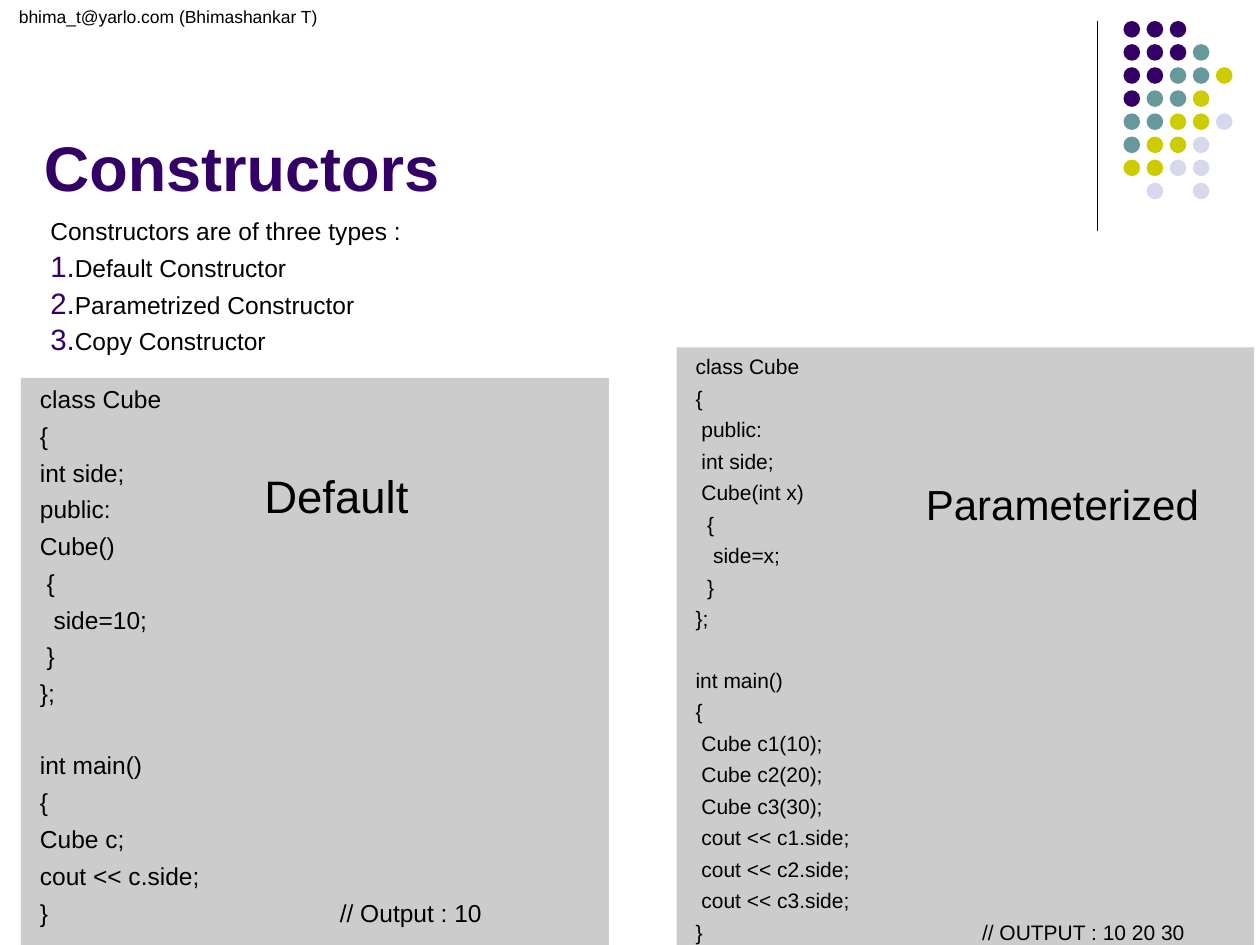
from lxml.etree import SubElement
from pptx import Presentation
from pptx.dml.color import RGBColor
from pptx.enum.shapes import MSO_CONNECTOR, MSO_SHAPE
from pptx.enum.text import MSO_ANCHOR, PP_ALIGN
from pptx.oxml.ns import qn
from pptx.util import Pt

COLORS = {
    "black": "000000", "panel": "CCCCCC", "purple": "330066",
    "teal": "669999", "olive": "CCCC00", "lavender": "D8D8EC",
}
FONT = "Arial"
SPACING = 0.3
LINE_HEIGHT = 1.15
SPACE_WIDTH = 0.278
TEXT_INSET = 10.8

DOT_ROWS = ["PPP", "PPPT", "PPTTO", "PTTO", "TTOOL", "TOOL", "OOLL", " L L"]
DOT_COLORS = {"P": "purple", "T": "teal", "O": "olive", "L": "lavender"}
DOT_LEFT, DOT_TOP, DOT_PITCH, DOT_SIZE = 642, 12, 13.2, 9.5

TYPES_INTRO = "Constructors are of three types : "
TYPES = ["Default Constructor", "Parametrized Constructor", "Copy Constructor"]

LABELS = [
    dict(text="bhima_t@yarlo.com (Bhimashankar T)", box=(0, 0, 192, 30), size=10,
         align=PP_ALIGN.CENTER),
    dict(text="Constructors", box=(18, 18, 606, 102), size=36, color="purple",
         bold=True, anchor=MSO_ANCHOR.BOTTOM),
    dict(text="Default", box=(144, 264, 138, 39), size=26),
    dict(text="Parameterized ", box=(522, 270, 174, 68), size=24),
]

CODE_PANELS = [
    dict(box=(12, 216, 336, 324), size=14, tab=171.4, sections=[
        ["class Cube", "{", "int side;", "public:", "Cube()", " {",
         "  side=10;", " }", "};"],
        ["int main()", "{", "Cube c;", "cout << c.side;", "}\t// Output : 10"],
    ]),
    dict(box=(386.7, 198.5, 330, 354), size=12, tab=163.7, sections=[
        ["class Cube", "{", " public:", " int side;", " Cube(int x)", "  {",
         "   side=x;", "  }", "};"],
        ["int main()", "{", " Cube c1(10);", " Cube c2(20);", " Cube c3(30);",
         " cout << c1.side;", " cout << c2.side;", " cout << c3.side;",
         "}\t// OUTPUT : 10 20 30"],
    ]),
]


def rgb(name):
    return RGBColor.from_string(COLORS[name])


def points(values):
    return [Pt(value) for value in values]


def add_filled(kind, box, color):
    shape = slide.shapes.add_shape(kind, *points(box))
    shape.shadow.inherit = False
    shape.fill.solid()
    shape.fill.fore_color.rgb = rgb(color)
    shape.line.fill.background()
    return shape


def prepare_frame(shape, anchor=MSO_ANCHOR.TOP, inset=7.2):
    frame = shape.text_frame
    frame.word_wrap = True
    frame.vertical_anchor = anchor
    frame.margin_left = Pt(inset)
    return frame


def add_text(frame, text, size, color="black", bold=False, align=PP_ALIGN.LEFT, before=0):
    first = frame.paragraphs[0]
    paragraph = frame.add_paragraph() if first.runs else first
    paragraph.alignment = align
    paragraph.space_before = Pt(before)
    run = paragraph.add_run()
    run.text = text
    run.font.name = FONT
    run.font.size = Pt(size)
    run.font.bold = bold
    run.font.color.rgb = rgb(color)
    return paragraph


def add_number(paragraph):
    properties = paragraph._p.get_or_add_pPr()
    color = SubElement(properties, qn("a:buClr"))
    SubElement(color, qn("a:srgbClr"), val=COLORS["purple"])
    SubElement(properties, qn("a:buSzPct"), val="120000")
    SubElement(properties, qn("a:buFont"), typeface=FONT)
    SubElement(properties, qn("a:buAutoNum"), type="arabicPeriod")


def add_code_panel(box, size, tab, sections):
    frame = prepare_frame(add_filled(MSO_SHAPE.RECTANGLE, box, "panel"), inset=TEXT_INSET)
    for section_index, lines in enumerate(sections):
        for line_index, line in enumerate(lines):
            before = SPACING * size
            if section_index and not line_index:
                before = (2 * SPACING + LINE_HEIGHT) * size
            code = line.lstrip(" ")
            depth = len(line) - len(code)
            paragraph = add_text(frame, code, size, before=before)
            properties = paragraph._p.get_or_add_pPr()
            properties.set("marL", str(Pt(depth * SPACE_WIDTH * size)))
            if "\t" in code:
                tabs = SubElement(properties, qn("a:tabLst"))
                SubElement(tabs, qn("a:tab"), pos=str(Pt(tab)), algn="l")


presentation = Presentation()
presentation.slide_width, presentation.slide_height = Pt(720), Pt(540)
slide = presentation.slides.add_slide(presentation.slide_layouts[6])

divider = slide.shapes.add_connector(MSO_CONNECTOR.STRAIGHT, *points((627, 12, 627, 132)))
divider.line.color.rgb = rgb("black")
divider.line.width = Pt(0.75)
SubElement(divider._element.spPr, qn("a:effectLst"))

for row, dots in enumerate(DOT_ROWS):
    for column, dot in enumerate(dots):
        if dot in DOT_COLORS:
            box = (DOT_LEFT + column * DOT_PITCH, DOT_TOP + row * DOT_PITCH, DOT_SIZE, DOT_SIZE)
            add_filled(MSO_SHAPE.OVAL, box, DOT_COLORS[dot])

types_box = slide.shapes.add_textbox(*points((18, 120, 684, 96)))
types_frame = prepare_frame(types_box, inset=TEXT_INSET)
add_text(types_frame, TYPES_INTRO, 14)
for constructor_type in TYPES:
    add_number(add_text(types_frame, constructor_type, 14, before=SPACING * 14))

for panel in CODE_PANELS:
    add_code_panel(**panel)

for label in LABELS:
    style = dict(label)
    label_box = slide.shapes.add_textbox(*points(style.pop("box")))
    label_frame = prepare_frame(label_box, style.pop("anchor", MSO_ANCHOR.TOP))
    add_text(label_frame, **style)

presentation.save("out.pptx")
